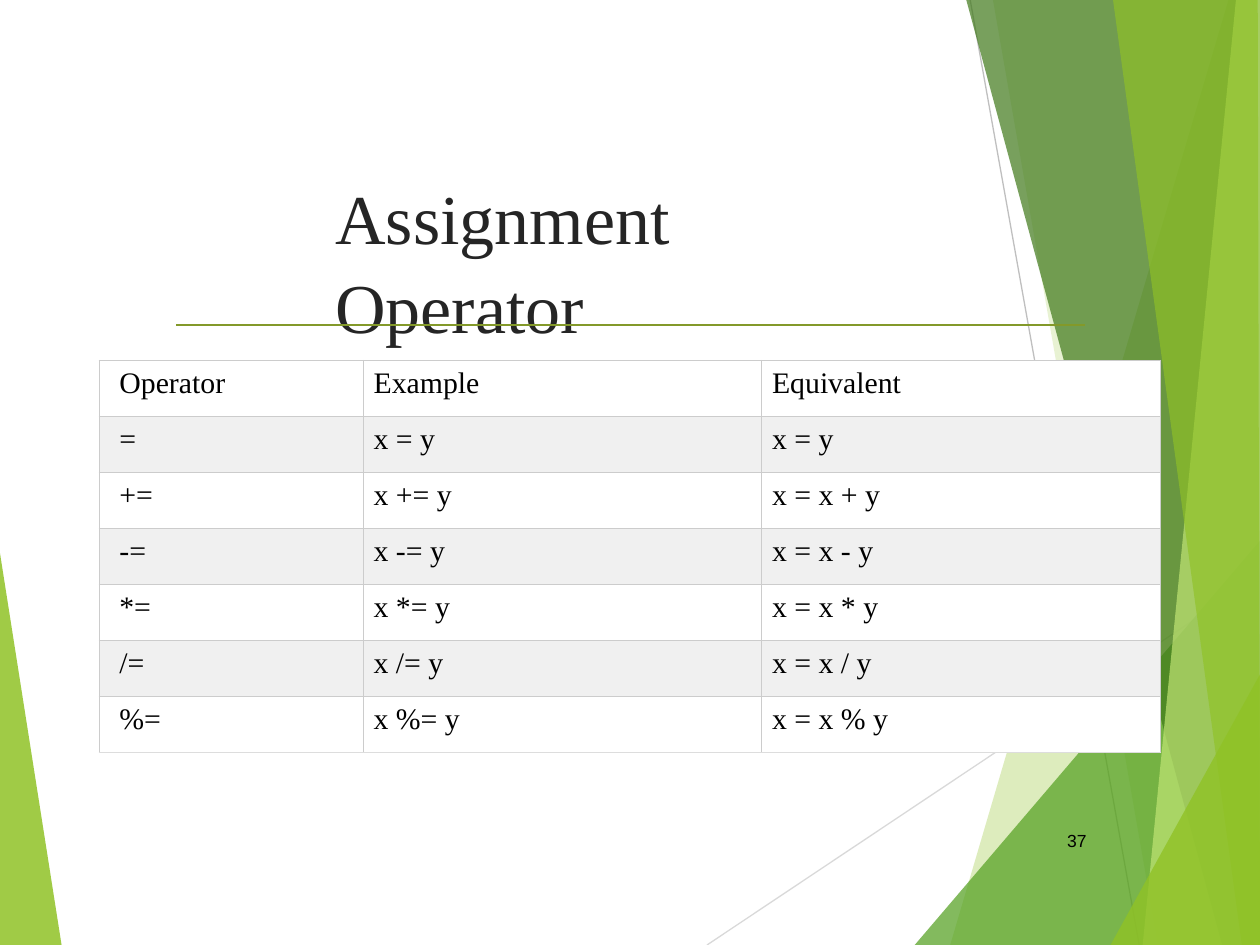
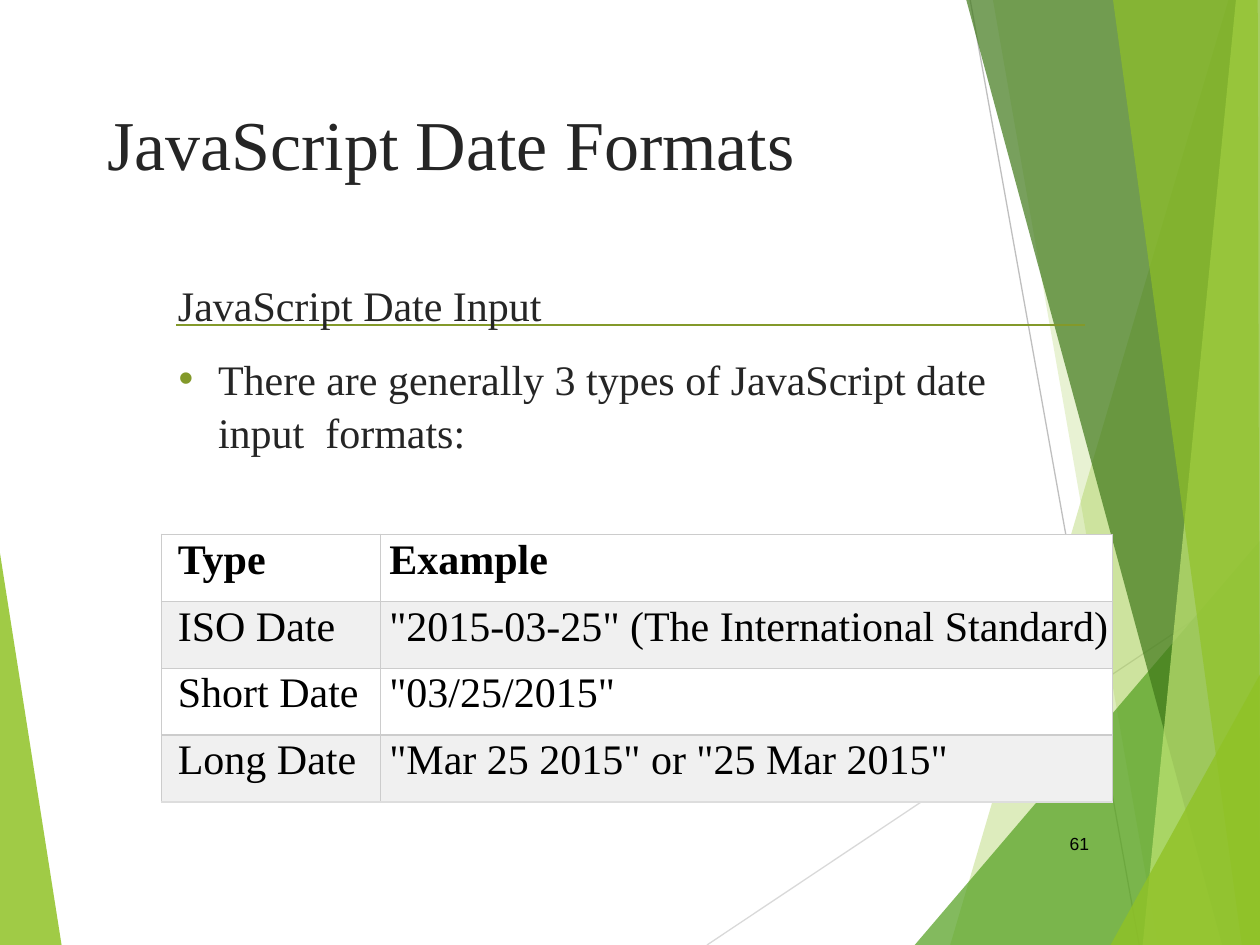
from dataclasses import dataclass

from lxml import etree
from pptx import Presentation
from pptx.dml.color import RGBColor
from pptx.enum.shapes import MSO_CONNECTOR
from pptx.enum.text import MSO_ANCHOR, MSO_AUTO_SIZE, PP_ALIGN
from pptx.oxml.ns import qn
from pptx.util import Pt

STRAIGHT = MSO_CONNECTOR.STRAIGHT
TOP = MSO_ANCHOR.TOP
GROW = MSO_AUTO_SIZE.SHAPE_TO_FIT_TEXT
LEFT = PP_ALIGN.LEFT

LIME = RGBColor(0x90, 0xC2, 0x26)
GREEN = RGBColor(0x54, 0xA0, 0x21)
FOREST = RGBColor(0x3F, 0x78, 0x19)
PALE_LIME = RGBColor(0xC0, 0xE4, 0x74)
OLIVE = RGBColor(0x83, 0x99, 0x2A)
INK = RGBColor(0x25, 0x25, 0x25)
BLACK = RGBColor(0, 0, 0)
WHITE = RGBColor(0xFF, 0xFF, 0xFF)
STRIPE = RGBColor(0xF0, 0xF0, 0xF0)
GRID = RGBColor(0xCC, 0xCC, 0xCC)
GRID_END = RGBColor(0xDD, 0xDD, 0xDD)
LIGHT_GREY = RGBColor(0xD9, 0xD9, 0xD9)
MID_GREY = RGBColor(0xBF, 0xBF, 0xBF)

SERIF = "Times New Roman"
SANS = "Arial"
WIDTH, HEIGHT = 720, 540


@dataclass(frozen=True)
class Facet:
    color: RGBColor
    opacity: int
    corners: tuple[tuple[float, float], ...]


@dataclass(frozen=True)
class Ray:
    color: RGBColor
    start: tuple[float, float]
    end: tuple[float, float]
    weight: float = 0.75


@dataclass(frozen=True)
class Box:
    left: float
    top: float
    width: float
    height: float


@dataclass(frozen=True)
class Style:
    size: float
    font: str = SERIF
    color: RGBColor = INK
    bold: bool = False


@dataclass(frozen=True)
class Grid:
    left: float
    top: float
    columns: tuple[float, ...]
    row_height: float
    inset_top: float
    indents: tuple[float, ...]
    text_size: float
    bold_header: bool
    rows: tuple[tuple[str, ...], ...]


DECORATION = (
    Facet(LIME, 85, ((0, 316), (35.2, HEIGHT), (0, HEIGHT))),
    Ray(LIGHT_GREY, (404, HEIGHT), (WIDTH, 329)),
    Ray(MID_GREY, (554.4, 0), (651, HEIGHT)),
    Facet(LIME, 30, ((702, 0), (543, HEIGHT), (WIDTH, HEIGHT), (WIDTH, 0))),
    Facet(LIME, 20, ((567.4, 0), (661.7, HEIGHT), (WIDTH, HEIGHT), (WIDTH, 0))),
    Facet(GREEN, 72, ((522.7, HEIGHT), (WIDTH, 309), (WIDTH, HEIGHT))),
    Facet(FOREST, 70, ((552.2, 0), (698.4, HEIGHT), (WIDTH, HEIGHT), (WIDTH, 0))),
    Facet(PALE_LIME, 70, ((706.3, 0), (653, HEIGHT), (WIDTH, HEIGHT), (WIDTH, 0))),
    Facet(LIME, 65, ((636, 0), (709.6, HEIGHT), (WIDTH, HEIGHT), (718.7, 0))),
    Facet(LIME, 80, ((634.6, HEIGHT), (WIDTH, 385.4), (WIDTH, HEIGHT))),
)
RULE = Ray(OLIVE, (100.8, 185.6), (620, 185.6), 1.2)

TITLE = Style(40)
BODY = Style(24)
PAGE_NUMBER = Style(10, SANS, BLACK)
PAGE_NUMBER_BOX = Box(608.4, 473.8, 16, 13.5)
TEXT_LEADING = 1.06

OPERATORS = Grid(
    56.7, 206, (151, 227.7, 227.7), 32, 3.6, (11.5, 5.8, 5.8), 17, False,
    (
        ("Operator", "Example", "Equivalent"),
        ("=", "x = y", "x = y"),
        *((f"{sign}=", f"x {sign}= y", f"x = x {sign} y") for sign in "+-*/%"),
    ),
)
DATE_FORMATS = Grid(
    92.2, 305.3, (125.3, 418.3), 38.25, 1.4, (9.4, 5), 24, True,
    (
        ("Type", "Example"),
        ("ISO Date", '"2015-03-25" (The International Standard)'),
        ("Short Date", '"03/25/2015"'),
        ("Long Date", '"Mar 25 2015" or "25 Mar 2015"'),
    ),
)


def draw_facet(slide, facet: Facet) -> None:
    points = [(Pt(x), Pt(y)) for x, y in facet.corners]
    builder = slide.shapes.build_freeform(*points[0])
    builder.add_line_segments(points[1:], close=True)
    shape = builder.convert_to_shape()
    shape.shadow.inherit = False
    shape.line.fill.background()
    shape.fill.solid()
    shape.fill.fore_color.rgb = facet.color
    color = shape.element.spPr.find(f"{qn('a:solidFill')}/{qn('a:srgbClr')}")
    etree.SubElement(color, qn("a:alpha")).set("val", str(facet.opacity * 1000))


def draw_ray(slide, ray: Ray) -> None:
    ends = [Pt(value) for value in (*ray.start, *ray.end)]
    connector = slide.shapes.add_connector(STRAIGHT, *ends)
    connector.line.color.rgb = ray.color
    connector.line.width = Pt(ray.weight)
    etree.SubElement(connector.element.spPr, qn("a:effectLst"))


def decorate_layout(layout, slide) -> None:
    """Draw the facets on a slide, then hand them over to its layout."""
    for placeholder in list(layout.placeholders)[1:]:
        layout.shapes.element.remove(placeholder.element)
    for part in DECORATION:
        if isinstance(part, Facet):
            draw_facet(slide, part)
        else:
            draw_ray(slide, part)
    for shape in list(slide.shapes)[1:]:
        layout.shapes.element.append(shape.element)


def place(shape, box: Box) -> None:
    shape.left, shape.top = Pt(box.left), Pt(box.top)
    shape.width, shape.height = Pt(box.width), Pt(box.height)


def prepare_frame(frame, inset_top: float) -> None:
    frame.word_wrap = True
    frame.auto_size = GROW
    frame.vertical_anchor = TOP
    frame.margin_left = frame.margin_right = frame.margin_bottom = 0
    frame.margin_top = Pt(inset_top)


def write(paragraph, text: str, style: Style, indent: float, hanging: float = 0) -> None:
    properties = paragraph._p.get_or_add_pPr()
    properties.set("marL", str(Pt(indent)))
    properties.set("indent", str(-Pt(hanging)))
    paragraph.alignment = LEFT
    run = paragraph.add_run()
    run.text = text
    run.font.size = Pt(style.size)
    run.font.name = style.font
    run.font.bold = style.bold
    run.font.color.rgb = style.color


def add_bullet(paragraph, color: RGBColor) -> None:
    properties = paragraph._p.get_or_add_pPr()
    bullet_color = etree.SubElement(properties, qn("a:buClr"))
    etree.SubElement(bullet_color, qn("a:srgbClr")).set("val", str(color))
    etree.SubElement(properties, qn("a:buFont")).set("typeface", SANS)
    etree.SubElement(properties, qn("a:buChar")).set("char", "•")


def set_title(slide, text: str, box: Box) -> None:
    title = slide.shapes.title
    place(title, box)
    prepare_frame(title.text_frame, 2)
    paragraph = title.text_frame.paragraphs[0]
    write(paragraph, text, TITLE, 0.9)
    paragraph.line_spacing = TEXT_LEADING


def add_frame(slide, box: Box, inset_top: float):
    textbox = slide.shapes.add_textbox(0, 0, 0, 0)
    place(textbox, box)
    prepare_frame(textbox.text_frame, inset_top)
    return textbox.text_frame


def add_page_number(slide, number: str, inset_top: float, indent: float, leading: float) -> None:
    paragraph = add_frame(slide, PAGE_NUMBER_BOX, inset_top).paragraphs[0]
    write(paragraph, number, PAGE_NUMBER, indent)
    paragraph.line_spacing = leading


def border_cell(cell, bottom: RGBColor) -> None:
    properties = cell._tc.get_or_add_tcPr()
    edges = {"a:lnL": GRID, "a:lnR": GRID, "a:lnT": GRID, "a:lnB": bottom}
    for position, (tag, color) in enumerate(edges.items()):
        edge = etree.Element(qn(tag), w=str(Pt(0.75)))
        fill = etree.SubElement(edge, qn("a:solidFill"))
        etree.SubElement(fill, qn("a:srgbClr")).set("val", str(color))
        properties.insert(position, edge)


def add_grid(slide, grid: Grid) -> None:
    count = len(grid.rows)
    table = slide.shapes.add_table(
        count, len(grid.columns), Pt(grid.left), Pt(grid.top),
        Pt(sum(grid.columns)), Pt(grid.row_height * count),
    ).table
    for column, width in zip(table.columns, grid.columns):
        column.width = Pt(width)
    for r, texts in enumerate(grid.rows):
        table.rows[r].height = Pt(grid.row_height)
        style = Style(grid.text_size, color=BLACK, bold=grid.bold_header and r == 0)
        for c, text in enumerate(texts):
            cell = table.cell(r, c)
            cell.margin_left = cell.margin_right = cell.margin_bottom = 0
            cell.margin_top = Pt(grid.inset_top)
            cell.vertical_anchor = TOP
            cell.fill.solid()
            cell.fill.fore_color.rgb = STRIPE if r % 2 else WHITE
            border_cell(cell, GRID_END if r == count - 1 else GRID)
            write(cell.text_frame.paragraphs[0], text, style, grid.indents[c])


def build_assignment_slide(slide) -> None:
    draw_ray(slide, RULE)
    set_title(slide, "Assignment Operator", Box(190.8, 95, 339, 50.4))
    add_page_number(slide, "37", 0.7, 1.4, 1.0)
    add_grid(slide, OPERATORS)


def build_date_slide(slide) -> None:
    draw_ray(slide, RULE)
    set_title(slide, "JavaScript Date Formats", Box(60.5, 52.6, 490, 49.7))
    add_page_number(slide, "61", 0, 2.9, 1.17)
    frame = add_frame(slide, Box(100.8, 149.8, 499, 111.6), 8)
    heading = frame.paragraphs[0]
    write(heading, "JavaScript Date Input", BODY, 0.9)
    statement = frame.add_paragraph()
    add_bullet(statement, OLIVE)
    write(statement, "There are generally 3 types of JavaScript date input  formats:",
          BODY, 23.8, 22.5)
    statement.space_before = Pt(11.8)
    for paragraph in (heading, statement):
        paragraph.line_spacing = TEXT_LEADING
    add_grid(slide, DATE_FORMATS)


def main() -> None:
    deck = Presentation()
    deck.slide_width, deck.slide_height = Pt(WIDTH), Pt(HEIGHT)
    title_only = deck.slide_layouts[5]
    assignment, dates = (deck.slides.add_slide(title_only) for _ in range(2))
    decorate_layout(title_only, assignment)
    build_assignment_slide(assignment)
    build_date_slide(dates)
    deck.save("out.pptx")


if __name__ == "__main__":
    main()
